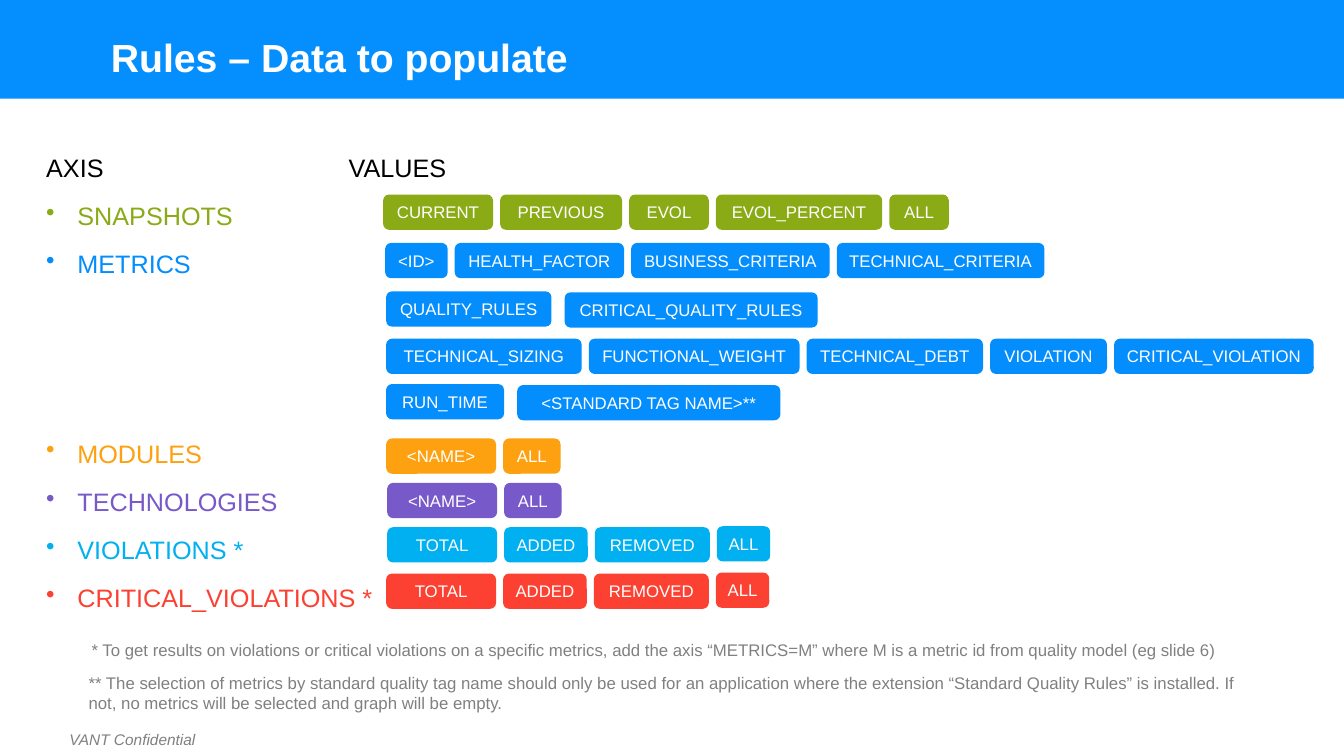
import pptx
import pptx.util
import pptx.dml.color
import pptx.enum.shapes
import pptx.enum.text
import pptx.oxml
import pptx.oxml.ns

PX = 9144
COLORS = {
    "banner": "058FFE", "white": "FFFFFF", "black": "000000", "note": "808080",
    "snapshots": "8AAA16", "metrics": "048EFD", "modules": "FDA110",
    "technologies": "7859C9", "violations": "00B0F0", "critical": "FC4132",
}
CHIP_HEIGHT = 35
LINE_GAP = 12.87
LINE_PITCH = 33.57


def box(left, top, width, height):
    return [side * PX for side in (left, top, width, height)]


def write(paragraph, text, size, color, **formats):
    run = paragraph.add_run()
    run.text = text
    run.font.color.rgb = pptx.dml.color.RGBColor.from_string(COLORS[color])
    formats = {"name": "Arial", "size": pptx.util.Pt(size), **formats}
    for attribute, value in formats.items():
        setattr(run.font, attribute, value)


deck = pptx.Presentation()
deck.slide_width, deck.slide_height = 1333 * PX, 750 * PX
slide = deck.slides.add_slide(deck.slide_layouts[5])
shapes = slide.shapes

banner = shapes.add_shape(pptx.enum.shapes.MSO_SHAPE.RECTANGLE, *box(0, 0, 1333, 98))
banner.shadow.inherit = False
banner.fill.solid()
banner.fill.fore_color.rgb = pptx.dml.color.RGBColor.from_string(COLORS["banner"])
banner.line.fill.background()
shapes.title.element.addprevious(banner.element)

title = shapes.title
title.left, title.top, title.width, title.height = box(100, 28, 1150, 44)
title.text_frame.vertical_anchor = pptx.enum.text.MSO_ANCHOR.TOP
title.text_frame.auto_size = pptx.enum.text.MSO_AUTO_SIZE.NONE
heading = title.text_frame.paragraphs[0]
heading.alignment = pptx.enum.text.PP_ALIGN.LEFT
write(heading, "Rules – Data to populate", 28, "white", bold=True)

axes = shapes.add_textbox(*box(36, 146, 1231, 476)).text_frame
axes.word_wrap = True
columns = axes.paragraphs[0]
write(columns, "AXIS\tVALUES", 18, "black")
columns._p.get_or_add_pPr().append(pptx.oxml.parse_xml(
    f'<a:tabLst {pptx.oxml.ns.nsdecls("a")}><a:tab pos="{300 * PX}" algn="l"/></a:tabLst>'))

AXES = [
    ("SNAPSHOTS", "snapshots", 0),
    ("METRICS", "metrics", 0),
    ("MODULES", "modules", 3),
    ("TECHNOLOGIES", "technologies", 0),
    ("VIOLATIONS *", "violations", 0),
    ("CRITICAL_VIOLATIONS *", "critical", 0),
]
for axis, color, skipped_lines in AXES:
    entry = axes.add_paragraph()
    entry.space_before = pptx.util.Pt(LINE_GAP + skipped_lines * LINE_PITCH)
    properties = entry._p.get_or_add_pPr()
    properties.set("marL", str(31 * PX))
    properties.set("indent", str(-31 * PX))
    properties.append(pptx.oxml.parse_xml(
        f'<a:buChar {pptx.oxml.ns.nsdecls("a")} char="•"/>'))
    write(entry, axis, 18, color)

VALUE_ROWS = [
    ("snapshots", 380, 193, 7, 0, [("CURRENT", 109), ("PREVIOUS", 121), ("EVOL", 79),
                                   ("EVOL_PERCENT", 165), ("ALL", 59)]),
    ("metrics", 382, 241, 7, 0, [("<ID>", 62), ("HEALTH_FACTOR", 168),
                                 ("BUSINESS_CRITERIA", 197), ("TECHNICAL_CRITERIA", 206)]),
    ("metrics", 383, 289, 13, 1, [("QUALITY_RULES", 164), ("CRITICAL_QUALITY_RULES", 251)]),
    ("metrics", 383, 336, 7, 0, [("TECHNICAL_SIZING", 194), ("FUNCTIONAL_WEIGHT", 209),
                                 ("TECHNICAL_DEBT", 175), ("VIOLATION", 116),
                                 ("CRITICAL_VIOLATION", 198)]),
    ("metrics", 383, 381, 13, 1, [("RUN_TIME", 117), ("<STANDARD TAG NAME>**", 261)]),
    ("modules", 383, 435, 7, 0, [("<NAME>", 109), ("ALL", 57)]),
    ("technologies", 384, 479, 7, 0, [("<NAME>", 109), ("ALL", 57)]),
    ("violations", 384, 523, 7, -1, [("TOTAL", 109), ("ADDED", 83), ("REMOVED", 114),
                                     ("ALL", 53)]),
    ("critical", 383, 569, 7, -1, [("TOTAL", 109), ("ADDED", 83), ("REMOVED", 114),
                                   ("ALL", 53)]),
]
for color, left, top, gap, last_shift, values in VALUE_ROWS:
    for value, width in values:
        chip_top = top + last_shift if value == values[-1][0] else top
        chip = shapes.add_shape(pptx.enum.shapes.MSO_SHAPE.ROUNDED_RECTANGLE,
                                *box(left, chip_top, width, CHIP_HEIGHT))
        chip.shadow.inherit = False
        chip.fill.solid()
        chip.fill.fore_color.rgb = pptx.dml.color.RGBColor.from_string(COLORS[color])
        chip.line.fill.background()
        chip.text_frame.vertical_anchor = pptx.enum.text.MSO_ANCHOR.MIDDLE
        label = chip.text_frame.paragraphs[0]
        label.alignment = pptx.enum.text.PP_ALIGN.CENTER
        write(label, value, 12, "white")
        left += width + gap

NOTES = [
    (81, 630, 1171, 40, 12, False,
     "* To get results on violations or critical violations on a specific metrics, "
     "add the axis “METRICS=M” where M is a metric id from quality model (eg slide 6)"),
    (78, 662, 1171, 49, 12, False,
     "** The selection of metrics by standard quality tag name should only be used for an "
     "application where the extension “Standard Quality Rules” is installed. "
     "If not, no metrics will be selected and graph will be empty."),
    (59, 719, 147, 29, 11, True, "VANT Confidential"),
]
for left, top, width, height, size, italic, text in NOTES:
    note = shapes.add_textbox(*box(left, top, width, height)).text_frame
    note.word_wrap = True
    write(note.paragraphs[0], text, size, "note", italic=italic)

deck.save("out.pptx")
